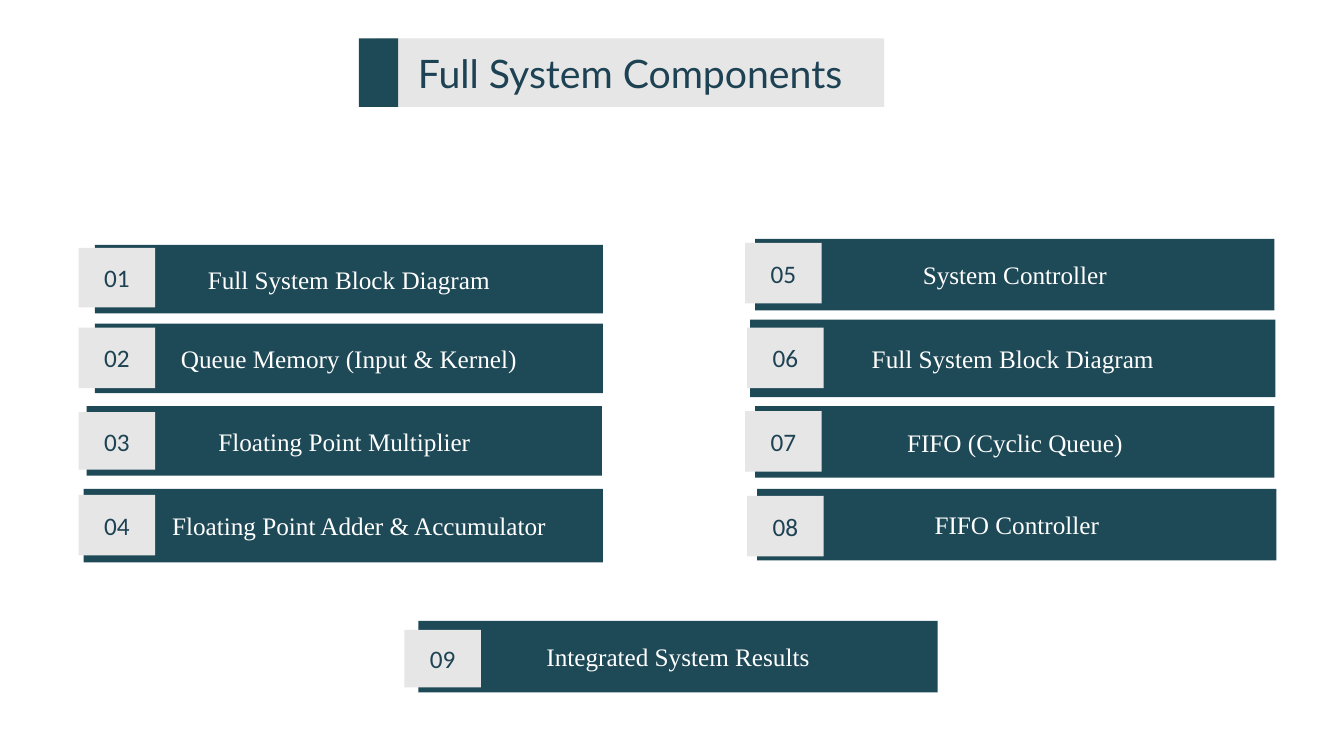
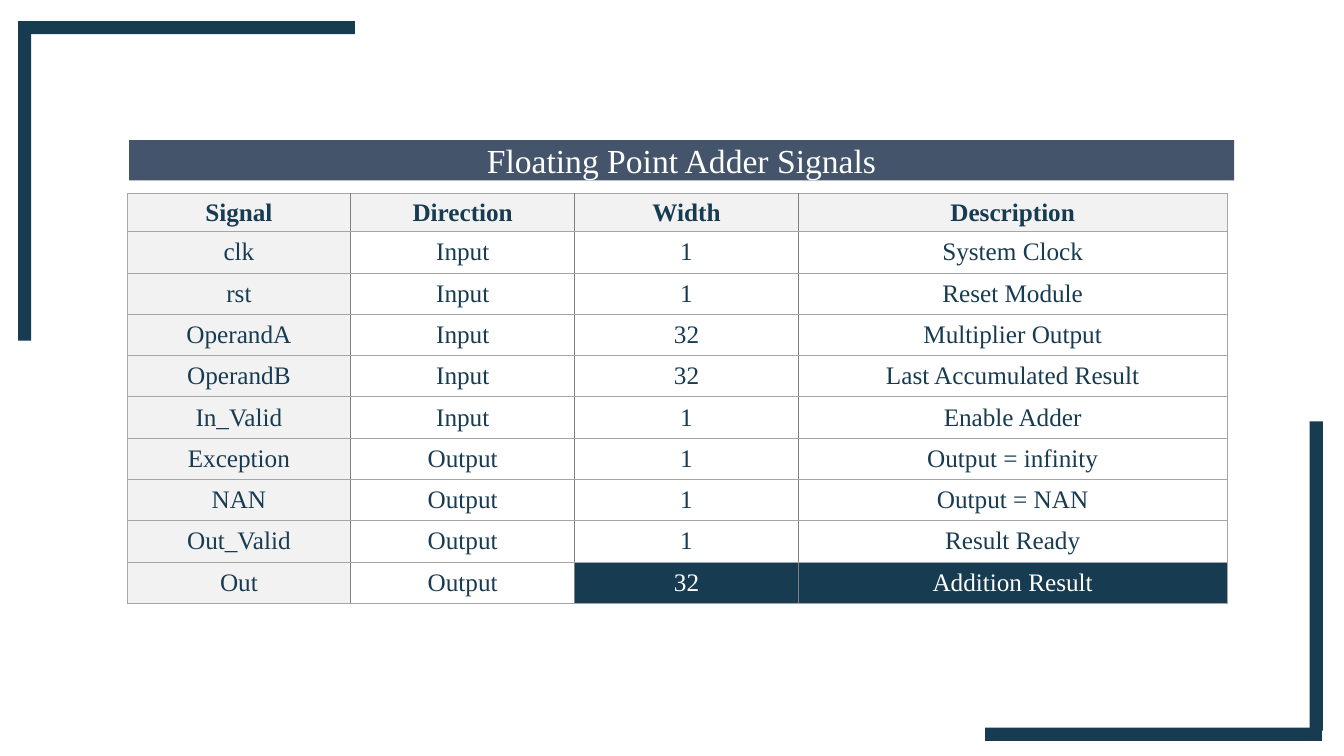
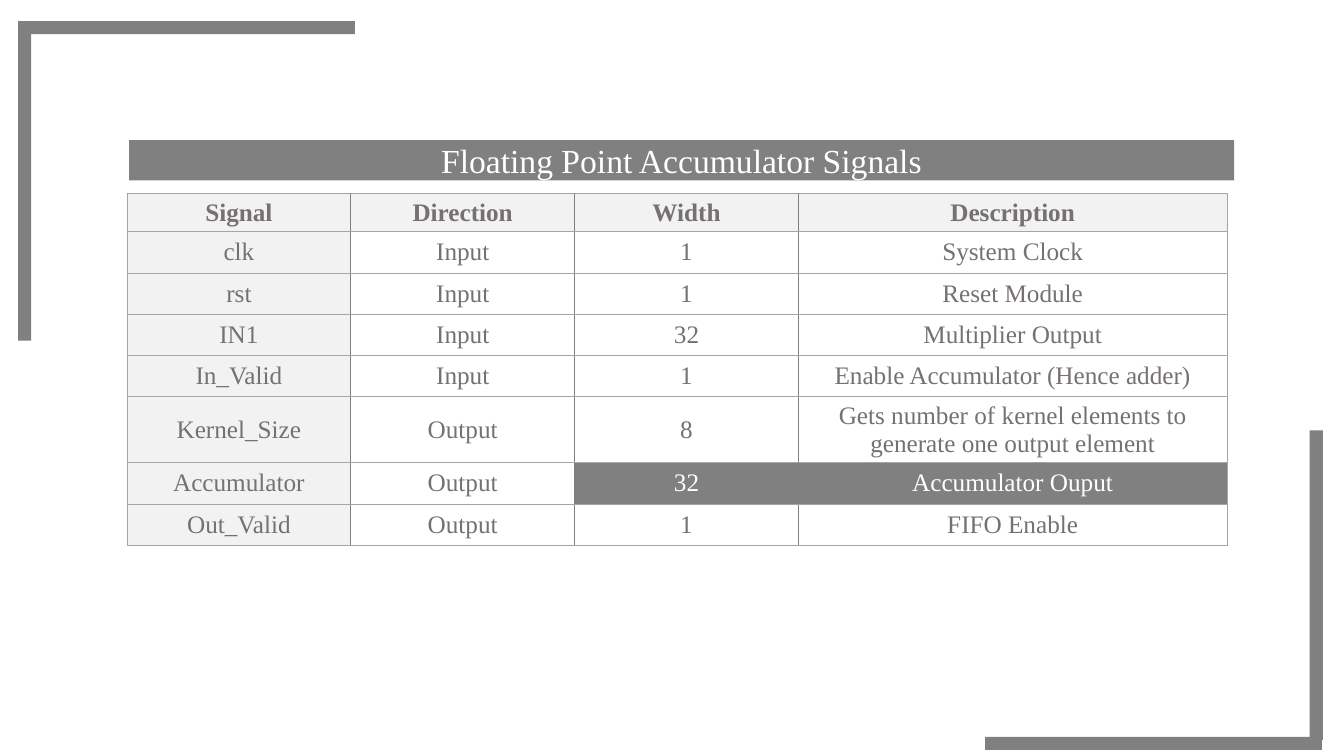
import lxml.etree
import pptx
import pptx.dml.color
import pptx.enum.shapes
import pptx.enum.text
import pptx.oxml.ns
import pptx.util

Inches = pptx.util.Inches
Pt = pptx.util.Pt
RGBColor = pptx.dml.color.RGBColor
CENTER = pptx.enum.text.PP_ALIGN.CENTER
MIDDLE = pptx.enum.text.MSO_ANCHOR.MIDDLE
RECTANGLE = pptx.enum.shapes.MSO_SHAPE.RECTANGLE

WHITE = RGBColor(0xFF, 0xFF, 0xFF)
TEAL = RGBColor(0x1E, 0x49, 0x56)
DARK_TEAL = RGBColor(0x1D, 0x42, 0x53)
LIGHT_GRAY = RGBColor(0xE7, 0xE6, 0xE6)
PALE_GRAY = RGBColor(0xF2, 0xF2, 0xF2)
NAVY = RGBColor(0x17, 0x3B, 0x51)
SLATE = RGBColor(0x44, 0x54, 0x6A)
GRAY = RGBColor(0x80, 0x80, 0x80)
TEXT_GRAY = RGBColor(0x76, 0x71, 0x71)
RULE_GRAY = RGBColor(0xA5, 0xA5, 0xA5)
SERIF = "Times New Roman"


def write(frame, text, size, font, color, bold=False):
    frame.text = text
    paragraph = frame.paragraphs[0]
    paragraph.alignment = CENTER
    span = paragraph.runs[0]
    span.font.size = Pt(size)
    span.font.name = font
    span.font.color.rgb = color
    span.font.bold = bold


def add_block(page, left, top, width, height, color):
    block = page.shapes.add_shape(
        RECTANGLE, Inches(left), Inches(top), Inches(width), Inches(height))
    block.shadow.inherit = False
    block.fill.solid()
    block.fill.fore_color.rgb = color
    block.line.fill.background()
    block.text_frame.word_wrap = True
    block.text_frame.vertical_anchor = MIDDLE
    return block


deck = pptx.Presentation()
deck.slide_width = Inches(13.33)
deck.slide_height = Inches(7.5)
blank = deck.slide_layouts[6]

page = deck.slides.add_slide(blank)
title = add_block(page, 3.73, 0.38, 5.04, 0.68, LIGHT_GRAY)
write(title.text_frame, "Full System Components", 28, "Lato", DARK_TEAL)
add_block(page, 3.56, 0.38, 0.39, 0.68, TEAL)

components = [
    ("Full System Block Diagram", (0.94, 2.43, 5.04, 0.68), (0.78, 2.46, 0.59)),
    ("Queue Memory (Input & Kernel)", (0.94, 3.21, 5.04, 0.69), (0.78, 3.25, 0.6)),
    ("Floating Point Multiplier", (0.86, 4.03, 5.11, 0.69), (0.78, 4.09, 0.57)),
    ("Floating Point Adder & Accumulator", (0.83, 4.85, 5.15, 0.73), (0.78, 4.91, 0.6)),
    ("System Controller", (7.49, 2.37, 5.15, 0.71), (7.39, 2.41, 0.6)),
    ("Full System Block Diagram", (7.44, 3.17, 5.21, 0.77), (7.41, 3.25, 0.6)),
    ("FIFO (Cyclic Queue)", (7.49, 4.03, 5.15, 0.71), (7.39, 4.08, 0.6)),
    ("FIFO Controller", (7.51, 4.85, 5.15, 0.71), (7.41, 4.92, 0.6)),
    ("Integrated System Results", (4.15, 6.16, 5.15, 0.71), (4.01, 6.25, 0.57)),
]
for number, (label, bar_place, badge_place) in enumerate(components, 1):
    bar = add_block(page, *bar_place, TEAL)
    write(bar.text_frame, label, 18, SERIF, WHITE)
    if label == "Floating Point Adder & Accumulator":
        bar.text_frame.margin_left = Inches(0.41)
    left, top, height = badge_place
    badge = add_block(page, left, top, 0.76, height, LIGHT_GRAY)
    write(badge.text_frame, f"{number:02}", 18, "Calibri", DARK_TEAL)

header = ("Signal", "Direction", "Width", "Description")
column_widths = (2.22, 2.22, 2.22, 4.25)
adder_rows = [
    ("clk", "Input", "1", "System Clock"),
    ("rst", "Input", "1", "Reset Module"),
    ("OperandA", "Input", "32", "Multiplier Output"),
    ("OperandB", "Input", "32", "Last Accumulated Result"),
    ("In_Valid", "Input", "1", "Enable Adder"),
    ("Exception", "Output", "1", "Output = infinity"),
    ("NAN", "Output", "1", "Output = NAN"),
    ("Out_Valid", "Output", "1", "Result Ready"),
    ("Out", "Output", "32", "Addition Result"),
]
accumulator_rows = [
    ("clk", "Input", "1", "System Clock"),
    ("rst", "Input", "1", "Reset Module"),
    ("IN1", "Input", "32", "Multiplier Output"),
    ("In_Valid", "Input", "1", "Enable Accumulator (Hence adder)"),
    ("Kernel_Size", "Output", "8",
     "Gets number of kernel elements to generate one output element"),
    ("Accumulator", "Output", "32", "Accumulator Ouput"),
    ("Out_Valid", "Output", "1", "FIFO Enable"),
]
signal_pages = [
    ("Floating Point Adder Signals", adder_rows, "Out", SLATE, NAVY, NAVY, 7.35),
    ("Floating Point Accumulator Signals", accumulator_rows, "Accumulator",
     GRAY, GRAY, TEXT_GRAY, 7.44),
]
for heading, rows, result, band_color, accent, text_color, frame_bottom in signal_pages:
    page = deck.slides.add_slide(blank)
    table = page.shapes.add_table(
        len(rows) + 1, len(header), Inches(1.26), Inches(1.92),
        Inches(sum(column_widths)), Inches(0.34 + 0.41 * len(rows))).table
    table.first_row = False
    table.horz_banding = False
    for column, width in zip(table.columns, column_widths):
        column.width = Inches(width)
    for row_index, values in enumerate([header] + rows):
        table.rows[row_index].height = Inches(0.41 if row_index else 0.34)
        for column_index, value in enumerate(values):
            cell = table.cell(row_index, column_index)
            cell.vertical_anchor = MIDDLE
            highlighted = values[0] == result and column_index >= 2
            write(cell.text_frame, value, 18, SERIF,
                  WHITE if highlighted else text_color, row_index == 0)

            outer = (RULE_GRAY, 0.5)
            inner = (GRAY, 1)
            borders = {
                "a:lnL": inner if column_index else outer,
                "a:lnR": inner if column_index < len(header) - 1 else outer,
                "a:lnT": outer,
                "a:lnB": outer,
            }
            properties = cell._tc.get_or_add_tcPr()
            for tag, (color, weight) in borders.items():
                line = lxml.etree.SubElement(
                    properties, pptx.oxml.ns.qn(tag), w=str(Pt(weight)))
                fill = lxml.etree.SubElement(line, pptx.oxml.ns.qn("a:solidFill"))
                lxml.etree.SubElement(
                    fill, pptx.oxml.ns.qn("a:srgbClr"), val=str(color))

            cell.fill.solid()
            if highlighted:
                cell.fill.fore_color.rgb = accent
            elif row_index == 0 or column_index == 0:
                cell.fill.fore_color.rgb = PALE_GRAY
            else:
                cell.fill.fore_color.rgb = WHITE

    band = add_block(page, 1.28, 1.39, 10.96, 0.4, band_color)
    write(band.text_frame, heading, 24, SERIF, WHITE)
    add_block(page, 0.18, 0.31, 0.13, 3.07, accent)
    add_block(page, 0.18, 0.21, 3.34, 0.13, accent)
    add_block(page, 12.99, frame_bottom - 3.17, 0.13, 3.07, accent)
    add_block(page, 9.77, frame_bottom - 0.13, 3.34, 0.13, accent)

deck.save("out.pptx")
